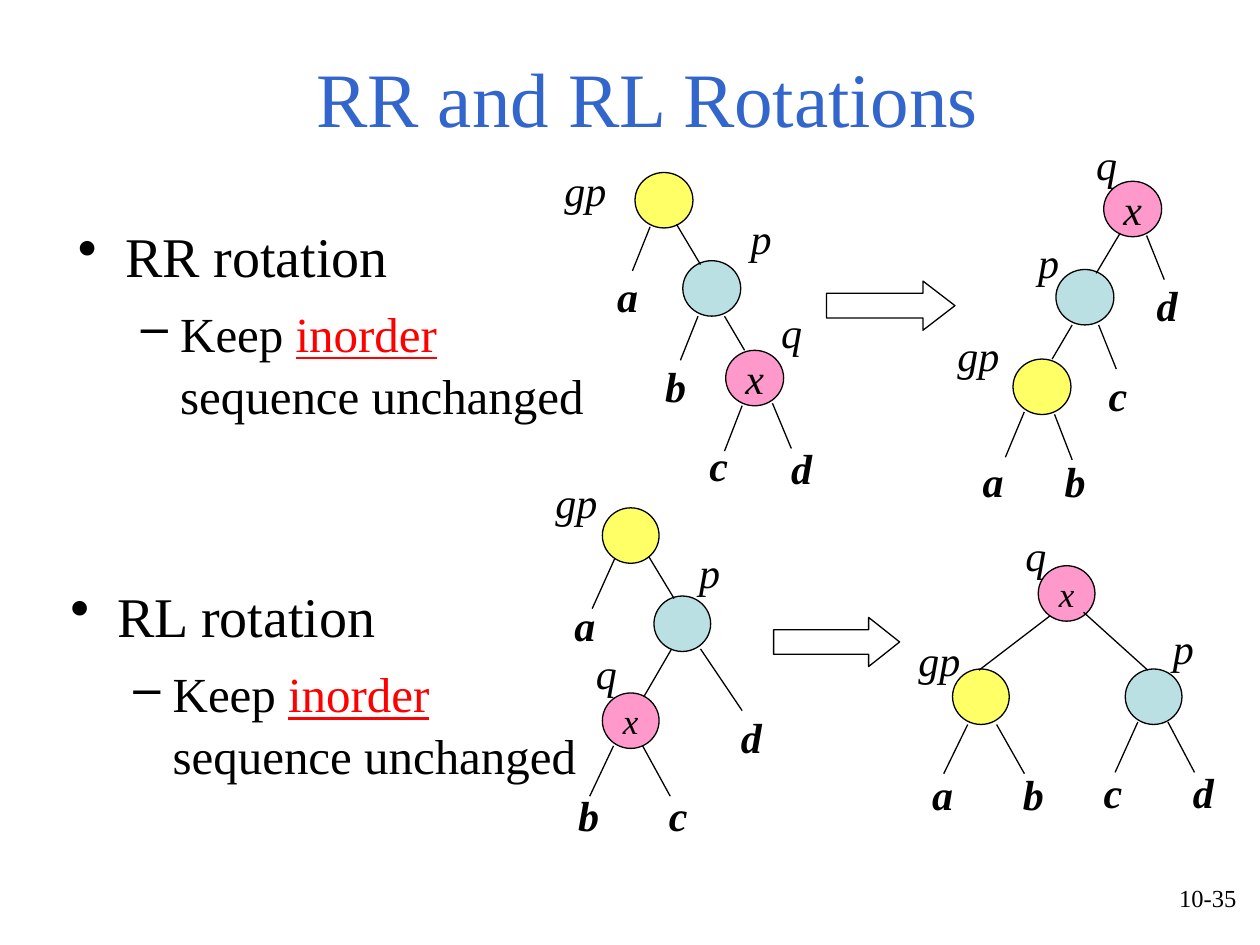
from lxml import etree
from pptx import Presentation
from pptx.dml.color import RGBColor
from pptx.enum.shapes import MSO_CONNECTOR, MSO_SHAPE
from pptx.enum.text import MSO_ANCHOR, PP_ALIGN
from pptx.oxml.ns import qn
from pptx.util import Pt

OVAL, ARROW = MSO_SHAPE.OVAL, MSO_SHAPE.RIGHT_ARROW
STRAIGHT = MSO_CONNECTOR.STRAIGHT
MIDDLE = MSO_ANCHOR.MIDDLE
CENTER, RIGHT = PP_ALIGN.CENTER, PP_ALIGN.RIGHT
BLACK = "000000"
NODE_FILLS = {"gp": "FFFF66", "p": "BBE0E3", "q": "FF99CC"}


def rgb(color):
    return RGBColor.from_string(color)


def style(run, size, color=BLACK, bold=False, italic=False):
    run.font.name = "Times New Roman"
    run.font.size = Pt(size)
    run.font.color.rgb = rgb(color)
    run.font.bold = bold
    run.font.italic = italic


deck = Presentation()
deck.slide_width, deck.slide_height = Pt(720), Pt(540)
slide = deck.slides.add_slide(deck.slide_layouts[5])
shapes = slide.shapes

title = shapes.title
title.left, title.top, title.width, title.height = Pt(46), Pt(29.5), Pt(648), Pt(51)
title.text_frame.text = "RR and RL Rotations"
title.text_frame.vertical_anchor = MIDDLE
title.text_frame.paragraphs[0].alignment = CENTER
style(title.text_frame.paragraphs[0].runs[0], 44, "3366CC")

rr_nodes = {"gp": (362.9, 98.6), "p": (390.2, 149), "q": (414.7, 200.2)}
rr_edges = [
    (386.6, 128.2, 400.3, 151.2), (414, 180.7, 425.5, 200.2),
    (371.5, 129.6, 361.4, 154.8), (398.9, 180.7, 388.8, 205.9),
    (424.1, 231.8, 414, 257.8), (441.4, 230.4, 452.2, 256.3),
]
rr_labels = {
    "a": (345.6, 151.2), "b": (373, 202.3), "c": (398.2, 247.7), "d": (445, 249.1),
    "gp": (315.4, 90.7), "p": (421.9, 118.1), "q": (439.2, 171.4),
}

MIRROR, DROP, RR_WIDTH, RL_WIDTH = 1026.7, 5, 33.1, 32.4
rotated = {"gp": "q", "p": "p", "q": "gp"}
rr_after_nodes = {
    rotated[name]: (MIRROR - RR_WIDTH - x, y + DROP) for name, (x, y) in rr_nodes.items()
}
rr_after_edges = [
    (MIRROR - x1, y1 + DROP, MIRROR - x2, y2 + DROP) for x1, y1, x2, y2 in rr_edges
]
rr_after_labels = {
    "a": (554.4, 257), "b": (601.2, 257), "c": (626.4, 207.4), "d": (653.8, 156.2),
    "gp": (540, 185), "p": (586.1, 131.8), "q": (619.2, 75.6),
}

rl_nodes = {"gp": (344.2, 290.2), "p": (373.7, 340.6), "q": (344.2, 396)}
rl_edges = [
    (370.8, 318.2, 385.2, 342), (383.8, 370.8, 367.9, 398.2),
    (350.6, 426.2, 337, 455), (367.2, 426.2, 383, 455),
    (400.3, 370.8, 424.1, 406.1), (351.4, 319, 338.4, 347.8),
]
rl_labels = {
    "a": (321.1, 339.1), "b": (323.3, 447.8), "c": (375.1, 447.8), "d": (416.2, 403.2),
    "gp": (310.3, 268.6), "p": (392.4, 308.9), "q": (333.4, 366.5),
}

rl_after_nodes = {"q": (593.3, 323.3), "gp": (544.3, 382.3), "p": (643, 382.3)}
rl_after_edges = [
    (599.8, 352.1, 559.4, 383), (619.2, 349.9, 655.9, 383),
    (553, 414, 539.3, 442.1), (569.5, 414, 585.4, 442.1),
    (650.2, 412.6, 637.2, 441.4), (667.4, 412.6, 682.6, 441.4),
]
rl_after_labels = {
    "a": (525.6, 435.6), "b": (577.4, 435.6), "c": (623.5, 434.2), "d": (674.6, 434.2),
    "gp": (517.7, 359.3), "p": (663.1, 352.1), "q": (578.9, 298.8),
}

trees = [
    (rr_nodes, rr_edges, rr_labels, RR_WIDTH, 24),
    (rr_after_nodes, rr_after_edges, rr_after_labels, RR_WIDTH, 24),
    (rl_nodes, rl_edges, rl_labels, RL_WIDTH, 20),
    (rl_after_nodes, rl_after_edges, rl_after_labels, RL_WIDTH, 20),
]
for nodes, edges, labels, node_width, x_size in trees:
    for name, (x, y) in nodes.items():
        node = shapes.add_shape(OVAL, Pt(x), Pt(y), Pt(node_width), Pt(31.7))
        node.shadow.inherit = False
        node.fill.solid()
        node.fill.fore_color.rgb = rgb(NODE_FILLS[name])
        node.line.color.rgb = rgb(BLACK)
        node.line.width = Pt(0.74)
        if name == "q":
            node.text_frame.text = "x"
            node.text_frame.word_wrap = False
            node.text_frame.vertical_anchor = MIDDLE
            node.text_frame.paragraphs[0].alignment = CENTER
            style(node.text_frame.paragraphs[0].runs[0], x_size, italic=True)
    for x1, y1, x2, y2 in edges:
        edge = shapes.add_connector(STRAIGHT, Pt(x1), Pt(y1), Pt(x2), Pt(y2))
        edge.line.color.rgb = rgb(BLACK)
        edge.line.width = Pt(0.74)
        etree.SubElement(edge._element.spPr, qn("a:effectLst"))
    for name, (x, y) in labels.items():
        label = shapes.add_textbox(Pt(x), Pt(y), Pt(50 if name == "gp" else 27), Pt(36))
        label.text_frame.word_wrap = True
        label.text_frame.text = name
        style(label.text_frame.paragraphs[0].runs[0], 24, bold=name in "abcd", italic=True)

for x, y, width, head in [(472.3, 160.6, 73.4, 0.65), (442.1, 352.8, 72, 0.63)]:
    arrow = shapes.add_shape(ARROW, Pt(x), Pt(y), Pt(width), Pt(28.1))
    arrow.adjustments[1] = head
    arrow.shadow.inherit = False
    arrow.fill.background()
    arrow.line.color.rgb = rgb(BLACK)
    arrow.line.width = Pt(0.74)

page = shapes.add_textbox(Pt(545.8), Pt(501.1), Pt(167.8), Pt(37.4))
page.text_frame.word_wrap = True
page.text_frame.text = "10-35"
page.text_frame.paragraphs[0].alignment = RIGHT
style(page.text_frame.paragraphs[0].runs[0], 14)

for kind, x, y in [("RR", 37.4, 121), ("RL", 33.1, 326.9)]:
    outline = shapes.add_textbox(Pt(x), Pt(y), Pt(307.4), Pt(149.8))
    frame = outline.text_frame
    frame.word_wrap = True
    frame.text = f"{kind} rotation"
    heading = frame.paragraphs[0]
    style(heading.runs[0], 32)
    detail = frame.add_paragraph()
    detail.level = 1
    for words, color in [("Keep ", BLACK), ("inorder", "FF0000"), (" sequence unchanged", BLACK)]:
        run = detail.add_run()
        run.text = words
        style(run, 28, color)
        run.font.underline = color != BLACK
    for paragraph, bullet, margin, indent, gap in [
        (heading, "•", 27, -27, 8), (detail, "–", 58.5, -22.5, 7),
    ]:
        paragraph.space_before = Pt(gap)
        paragraph.line_spacing = 1.05
        props = paragraph._p.get_or_add_pPr()
        props.set("marL", str(Pt(margin)))
        props.set("indent", str(Pt(indent)))
        bullet_color = etree.SubElement(props, qn("a:buClr"))
        etree.SubElement(bullet_color, qn("a:srgbClr")).set("val", BLACK)
        etree.SubElement(props, qn("a:buChar")).set("char", bullet)

deck.save("out.pptx")
